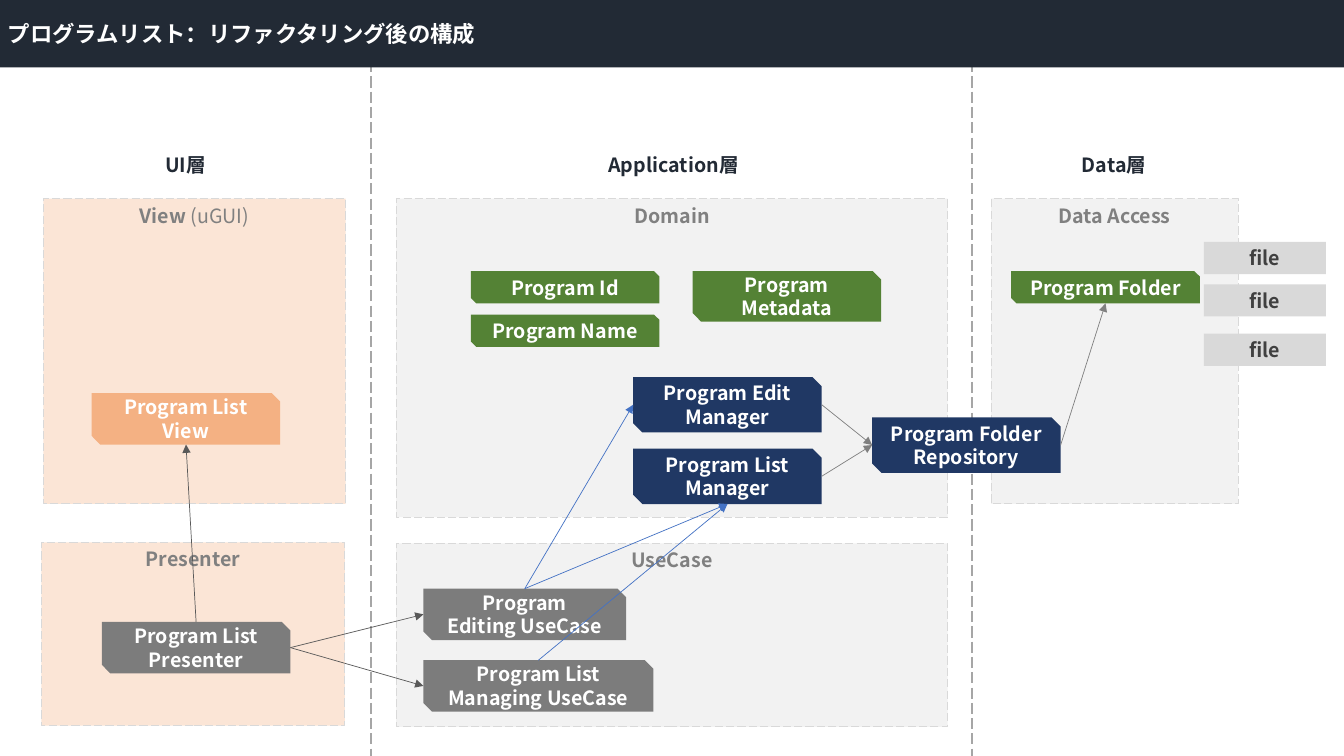
from lxml import etree
from pptx import Presentation
from pptx.dml.color import RGBColor
from pptx.enum import dml, shapes, text
from pptx.oxml import ns
from pptx.util import Inches, Pt

FONT = "Noto Sans CJK JP"
WHITE = RGBColor(0xFF, 0xFF, 0xFF)
NAVY = RGBColor(0x22, 0x2A, 0x35)
PEACH = RGBColor(0xFB, 0xE5, 0xD6)
PALE_GRAY = RGBColor(0xF2, 0xF2, 0xF2)
LIGHT_GRAY = RGBColor(0xD9, 0xD9, 0xD9)
DIVIDER_GRAY = RGBColor(0xA6, 0xA6, 0xA6)
LABEL_GRAY = RGBColor(0x80, 0x80, 0x80)
CLASS_GRAY = RGBColor(0x7C, 0x7C, 0x7C)
DARK_GRAY = RGBColor(0x59, 0x59, 0x59)
FILE_TEXT = RGBColor(0x40, 0x40, 0x40)
GREEN = RGBColor(0x54, 0x82, 0x35)
BLUE = RGBColor(0x20, 0x38, 0x64)
ORANGE = RGBColor(0xF4, 0xB1, 0x83)
ARROW_BLUE = RGBColor(0x44, 0x72, 0xC4)

CENTER = text.PP_ALIGN.CENTER
MIDDLE = text.MSO_ANCHOR.MIDDLE
TOP = text.MSO_ANCHOR.TOP
RECTANGLE = shapes.MSO_SHAPE.RECTANGLE
SNIPPED = shapes.MSO_SHAPE.SNIP_2_DIAG_RECTANGLE


def format_run(run, color, size=14, bold=True):
    run.font.size = Pt(size)
    run.font.bold = bold
    run.font.color.rgb = color
    run.font.name = FONT
    east_asian = etree.SubElement(run.font._element, ns.qn("a:ea"))
    east_asian.set("typeface", FONT)


def write(shape, words, color, size=14, align=CENTER, anchor=MIDDLE):
    frame = shape.text_frame
    frame.word_wrap = True
    frame.vertical_anchor = anchor
    frame.text = words
    for paragraph in frame.paragraphs:
        paragraph.alignment = align
        for run in paragraph.runs:
            format_run(run, color, size)


def add_box(slide, kind, bounds, fill):
    shape = slide.shapes.add_shape(kind, *map(Inches, bounds))
    shape.shadow.inherit = False
    shape.fill.solid()
    shape.fill.fore_color.rgb = fill
    shape.line.fill.background()
    return shape


def add_area(slide, words, bounds, fill):
    """Dashed background area with its label at the top."""
    area = add_box(slide, RECTANGLE, bounds, fill)
    area.line.color.rgb = LIGHT_GRAY
    area.line.width = Pt(0.75)
    area.line.dash_style = dml.MSO_LINE.LONG_DASH
    write(area, words, LABEL_GRAY, anchor=TOP)
    return area


def add_class(slide, words, left, top, height, fill, width=1.87):
    """Snipped box that stands for one class."""
    box = add_box(slide, SNIPPED, (left, top, width, height), fill)
    write(box, words, WHITE)
    return box


def add_layer_title(slide, words, left):
    title = slide.shapes.add_textbox(*map(Inches, (left, 1.42, 1.98, 0.42)))
    write(title, words, NAVY)


def add_line(slide, start, end, color, width):
    line = slide.shapes.add_connector(shapes.MSO_CONNECTOR.STRAIGHT, *start, *end)
    line.line.color.rgb = color
    line.line.width = Pt(width)
    etree.SubElement(line._element.spPr, ns.qn("a:effectLst"))
    return line


def add_divider(slide, x):
    divider = add_line(slide, (Inches(x), 0), (Inches(x), Inches(7.5)), DIVIDER_GRAY, 1)
    divider.line.dash_style = dml.MSO_LINE.LONG_DASH


def side_point(shape, side):
    """Middle of the named side of a box."""
    across, down = {"left": (0, 1), "right": (2, 1), "top": (1, 0), "bottom": (1, 2)}[side]
    return shape.left + shape.width * across // 2, shape.top + shape.height * down // 2


def add_arrow(slide, source, source_side, target, target_side, color):
    arrow = add_line(slide, side_point(source, source_side),
                     side_point(target, target_side), color, 0.5)
    outline = arrow.line._get_or_add_ln()
    etree.SubElement(outline, ns.qn("a:tailEnd")).set("type", "triangle")


def main():
    presentation = Presentation()
    presentation.slide_width = Inches(13.33)
    presentation.slide_height = Inches(7.5)
    slide = presentation.slides.add_slide(presentation.slide_layouts[6])

    # Layers
    for x in (3.68, 9.64):
        add_divider(slide, x)
    for words, left in (("UI層", 0.85), ("Application層", 5.69), ("Data層", 10.06)):
        add_layer_title(slide, words, left)

    # Areas
    view_area = add_area(slide, "View ", (0.43, 1.97, 3, 3.03), PEACH)
    toolkit = view_area.text_frame.paragraphs[0].add_run()
    toolkit.text = "(uGUI)"
    format_run(toolkit, LABEL_GRAY, bold=False)
    add_area(slide, "Data Access", (9.83, 1.97, 2.45, 3.03), PALE_GRAY)
    add_area(slide, "Domain", (3.93, 1.97, 5.47, 3.16), PALE_GRAY)
    add_area(slide, "UseCase", (3.93, 5.39, 5.47, 1.82), PALE_GRAY)
    add_area(slide, "Presenter", (0.41, 5.38, 3.01, 1.82), PEACH)

    # Data classes
    folder = add_class(slide, "Program Folder", 10.03, 2.69, 0.32, GREEN)
    add_class(slide, "Program Id", 4.67, 2.69, 0.32, GREEN)
    add_class(slide, "Program Name", 4.67, 3.12, 0.32, GREEN)
    add_class(slide, "Program Metadata", 6.87, 2.69, 0.5, GREEN)

    # Managers and repository
    edit_manager = add_class(slide, "Program Edit\nManager", 6.28, 3.74, 0.55, BLUE)
    list_manager = add_class(slide, "Program List\nManager", 6.28, 4.45, 0.55, BLUE)
    repository = add_class(slide, "Program Folder\nRepository", 8.65, 4.14, 0.55, BLUE)

    # View, presenter and use cases
    view = add_class(slide, "Program List\nView", 0.91, 3.9, 0.51, ORANGE)
    presenter = add_class(slide, "Program List\nPresenter", 1.01, 6.17, 0.51, CLASS_GRAY)
    editing = add_class(slide, "Program\nEditing UseCase", 4.2, 5.84, 0.51, CLASS_GRAY, 2.01)
    managing = add_class(slide, "Program List\nManaging UseCase", 4.2, 6.55, 0.51,
                         CLASS_GRAY, 2.28)

    # Files
    for top in (2.4, 2.82, 3.31):
        file_box = add_box(slide, RECTANGLE, (11.94, top, 1.21, 0.32), LIGHT_GRAY)
        write(file_box, "file", FILE_TEXT)

    # Dependencies
    for source, source_side, target, target_side, color in (
        (managing, "top", list_manager, "bottom", ARROW_BLUE),
        (editing, "top", list_manager, "bottom", ARROW_BLUE),
        (editing, "top", edit_manager, "left", ARROW_BLUE),
        (presenter, "right", editing, "left", DARK_GRAY),
        (presenter, "right", managing, "left", DARK_GRAY),
        (presenter, "top", view, "bottom", DARK_GRAY),
        (repository, "right", folder, "bottom", LABEL_GRAY),
        (edit_manager, "right", repository, "left", LABEL_GRAY),
        (list_manager, "right", repository, "left", LABEL_GRAY),
    ):
        add_arrow(slide, source, source_side, target, target_side, color)

    # Header
    header = add_box(slide, RECTANGLE, (-0.02, 0, 13.35, 0.67), NAVY)
    write(header, "プログラムリスト：リファクタリング後の構成", WHITE, 16, text.PP_ALIGN.LEFT)

    presentation.save("out.pptx")


if __name__ == "__main__":
    main()
